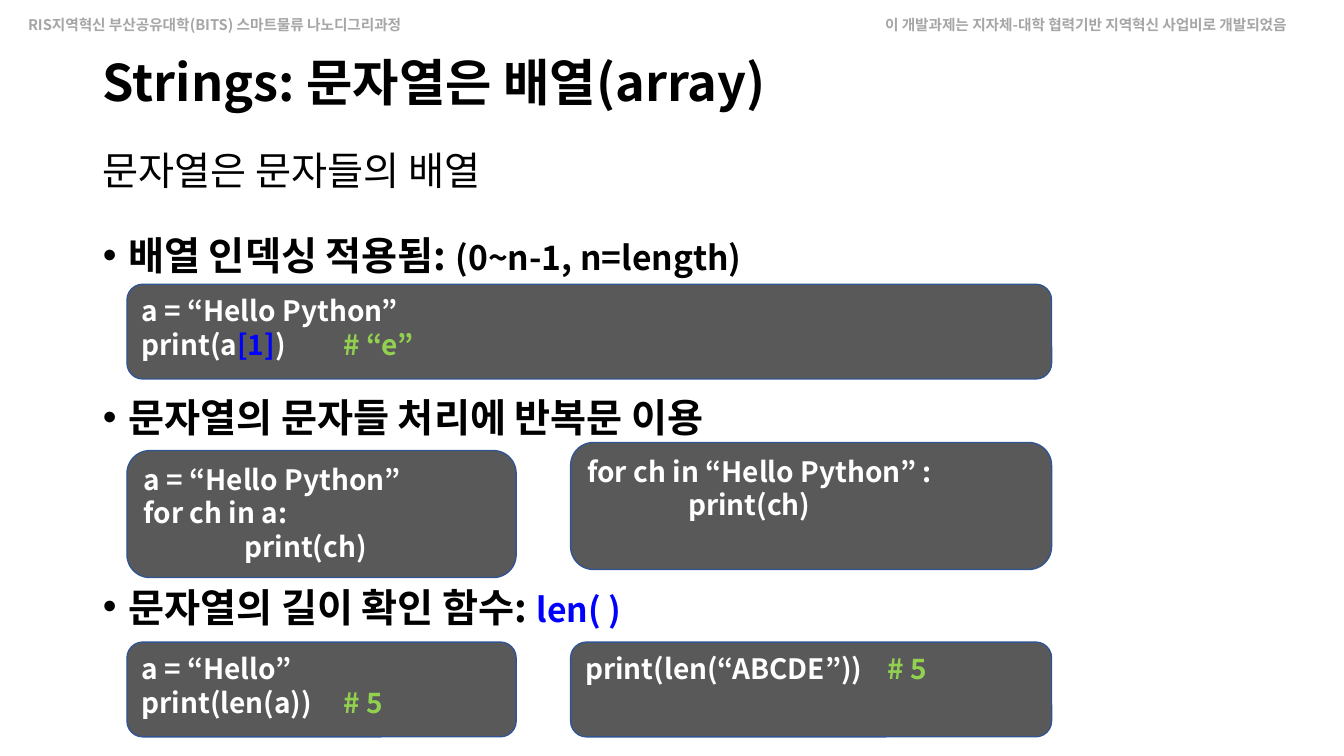
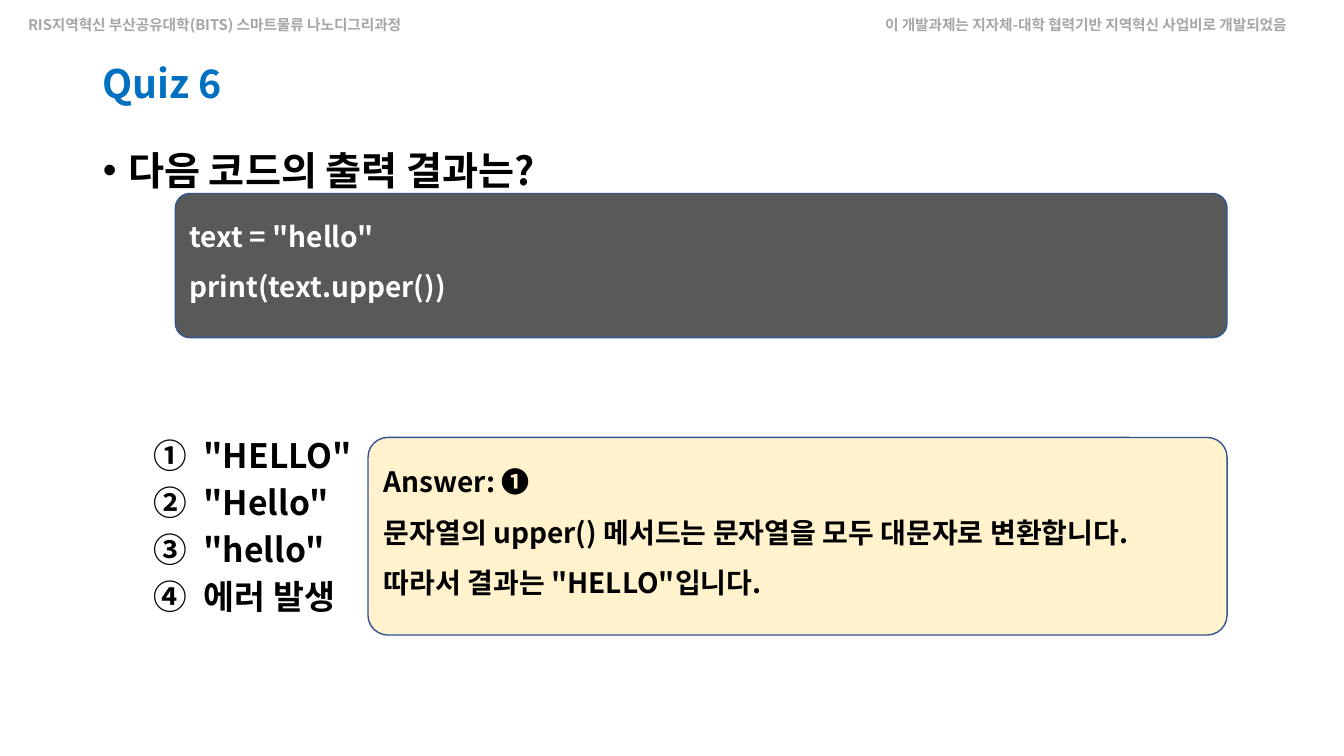
from lxml.etree import SubElement
from pptx import Presentation
from pptx.dml.color import RGBColor
from pptx.enum.shapes import MSO_SHAPE
from pptx.enum.text import MSO_ANCHOR, MSO_AUTO_SIZE, PP_ALIGN
from pptx.oxml.ns import qn
from pptx.util import Inches, Pt

FONT = "Noto Sans CJK KR"
COLORS = {
    "text": "000000", "white": "FFFFFF", "header": "A6A6A6", "quiz": "0070C0",
    "mark": "0000FF", "comment": "92D050", "code": "595959",
    "answer": "FFF2CC", "outline": "325491",
}
PAGE_WIDTH, PAGE_HEIGHT = 13.33, 7.5
TITLE_BOX = (0.92, 0.4, 11.5, 0.9)
BODY_BOX = (0.92, 1.17, 12.08, 6.22)
HEADERS = [
    ((0.18, 0.11, 4.24, 0.28), "RIS지역혁신 부산공유대학(BITS) 스마트물류 나노디그리과정", False),
    ((8.68, 0.11, 4.66, 0.28), "이 개발과제는 지자체-대학 협력기반 지역혁신 사업비로 개발되었음", True),
]
# Paragraph kinds: level, left margin, indent and bullet element
PLAIN = (0, 0, 0, ("buNone", {}))
BULLET = (0, 0.25, -0.25, ("buChar", {"char": "•"}))
NUMBER = (1, 1, -0.5, ("buAutoNum", {"type": "circleNumDbPlain"}))


def color(name):
    return RGBColor.from_string(COLORS[name])


def place(shape, box):
    for name, value in zip(("left", "top", "width", "height"), box):
        setattr(shape, name, Inches(value))


def add_span(para, text, ink="text", size=20, bold=True):
    span = para.add_run()
    span.text = text
    for name, value in {"size": Pt(size), "bold": bold, "name": FONT}.items():
        setattr(span.font, name, value)
    span.font.color.rgb = color(ink)
    SubElement(span.font._element, qn("a:ea"), typeface=FONT)


def add_para(frame, first, spans, kind=None, **spacing):
    """Add one paragraph; each span is (text, format values)."""
    para = frame.paragraphs[0] if first else frame.add_paragraph()
    settings = para._p.get_or_add_pPr()
    if kind:
        level, margin, indent, (bullet, attributes) = kind
        para.level = level
        settings.set("marL", str(Inches(margin)))
        settings.set("indent", str(Inches(indent)))
        SubElement(settings, qn("a:buFont"), typeface="Arial")
        SubElement(settings, qn(f"a:{bullet}"), attributes)
    else:
        tabs = SubElement(settings, qn("a:tabLst"))
        for stop in (1, 2, 3):
            SubElement(tabs, qn("a:tab"), pos=str(Inches(stop)), algn="l")
    formats = {"alignment": PP_ALIGN.LEFT, "space_before": Pt(0),
               "space_after": Pt(0), "line_spacing": 1.0, **spacing}
    for name, value in formats.items():
        setattr(para, name, value)
    for text, look in spans:
        add_span(para, text, **look)


def set_up_layout(layout, page):
    """Give the layout its placeholder boxes and the two header lines."""
    place(layout.placeholders[0], TITLE_BOX)
    place(layout.placeholders[1], BODY_BOX)
    for number, (box, text, wrap) in enumerate(HEADERS, 20):
        header = page.shapes.add_textbox(*map(Inches, box))
        header.text_frame.word_wrap = wrap
        add_para(header.text_frame, True, [(text, {"ink": "header", "size": 10.5})])
        header.element.nvSpPr.cNvPr.set("id", str(number))
        layout.shapes.element.append(header.element)


def fill_title(page, text, **look):
    frame = page.shapes.title.text_frame
    frame.auto_size = MSO_AUTO_SIZE.NONE
    frame.vertical_anchor = MSO_ANCHOR.MIDDLE
    add_para(frame, True, [(text, look)], line_spacing=0.9)


def fill_body(page, items):
    """Fill the body list with (kind, spacing, spans)."""
    frame = page.placeholders[1].text_frame
    frame.auto_size = MSO_AUTO_SIZE.NONE
    for index, (kind, spacing, spans) in enumerate(items):
        add_para(frame, index == 0, spans, kind, **spacing)


def add_panel(page, box, lines, fill="code", ink="white", corner=0.1667, spacing=1.0):
    """Add a rounded panel; a line is a string or a list of (text, ink)."""
    panel = page.shapes.add_shape(MSO_SHAPE.ROUNDED_RECTANGLE, *map(Inches, box))
    panel.shadow.inherit = False
    panel.adjustments[0] = corner
    panel.fill.solid()
    panel.fill.fore_color.rgb = color(fill)
    panel.line.color.rgb = color("outline")
    panel.line.width = Pt(1)
    frame = panel.text_frame
    frame.word_wrap = True
    frame.vertical_anchor = MSO_ANCHOR.TOP
    for index, line in enumerate(lines):
        parts = [(line, ink)] if isinstance(line, str) else line
        spans = [(text, {"ink": name}) for text, name in parts]
        add_para(frame, index == 0, spans, line_spacing=spacing)


def build_strings(page):
    fill_title(page, "Strings: 문자열은 배열(array)", size=36)
    big = {"size": 28}
    fill_body(page, [
        (PLAIN, {"line_spacing": 1.5},
         [("문자열은 문자들의 배열", {"size": 28, "bold": False})]),
        (BULLET, {"line_spacing": 1.5, "space_before": Pt(10)},
         [("배열 인덱싱 적용됨: ", big), ("(0~n-1, n=length)", {"size": 24})]),
        (BULLET, {"space_before": Pt(82)}, [("문자열의 문자들 처리에 반복문 이용", big)]),
        (BULLET, {"space_before": Pt(102)},
         [("문자열의 길이 확인 함수: ", big), ("len( )", {"size": 24, "ink": "mark"})]),
    ])

    # Code panels: two columns, the first panel spans both
    left, right, narrow, wide = 1.26, 5.66, 3.86, 4.77
    short, tall = 0.94, 1.26
    add_panel(page, (left, 2.82, right + wide - left, short), [
        "a = “Hello Python”",
        [("print(a", "white"), ("[1]", "mark"), (")\t", "white"), ("# “e”", "comment")],
    ])
    add_panel(page, (left, 4.47, narrow, tall),
              ["a = “Hello Python”", "for ch in a:", "\tprint(ch)"], corner=0.18)
    add_panel(page, (right, 4.39, wide, tall),
              ["for ch in “Hello Python” :", "\tprint(ch)"], corner=0.18)
    result = ("# 5", "comment")
    add_panel(page, (left, 6.37, narrow, short),
              ["a = “Hello”", [("print(len(a))\t", "white"), result]])
    add_panel(page, (right, 6.37, wide, short),
              [[("print(len(“ABCDE”))\t", "white"), result]])


def build_quiz(page):
    fill_title(page, "Quiz 6", size=28, ink="quiz")
    choices = ['"HELLO"', '"Hello"', '"hello"', "에러 발생"]
    question = (BULLET, {"line_spacing": 1.5}, [("다음 코드의 출력 결과는?", {"size": 28})])
    fill_body(page, [question] + [
        (NUMBER, {"space_before": Pt(5 if index else 172)}, [(choice, {"size": 24})])
        for index, choice in enumerate(choices)
    ])

    # Code and answer panels share their right edge
    right = 12.17
    look = {"corner": 0.1, "spacing": 1.5}
    add_panel(page, (1.74, 1.92, right - 1.74, 1.43),
              ['text = "hello"', "print(text.upper())"], **look)
    add_panel(page, (3.65, 4.34, right - 3.65, 1.96), [
        "Answer: ❶",
        '문자열의 upper() 메서드는 문자열을 모두 대문자로 변환합니다. 따라서 결과는 "HELLO"입니다.',
    ], fill="answer", ink="text", **look)


def main():
    deck = Presentation()
    deck.slide_width, deck.slide_height = Inches(PAGE_WIDTH), Inches(PAGE_HEIGHT)
    layout = deck.slide_layouts[1]
    pages = [deck.slides.add_slide(layout) for _ in range(2)]
    set_up_layout(layout, pages[0])
    for build, page in zip((build_strings, build_quiz), pages):
        build(page)
    deck.save("out.pptx")


if __name__ == "__main__":
    main()
